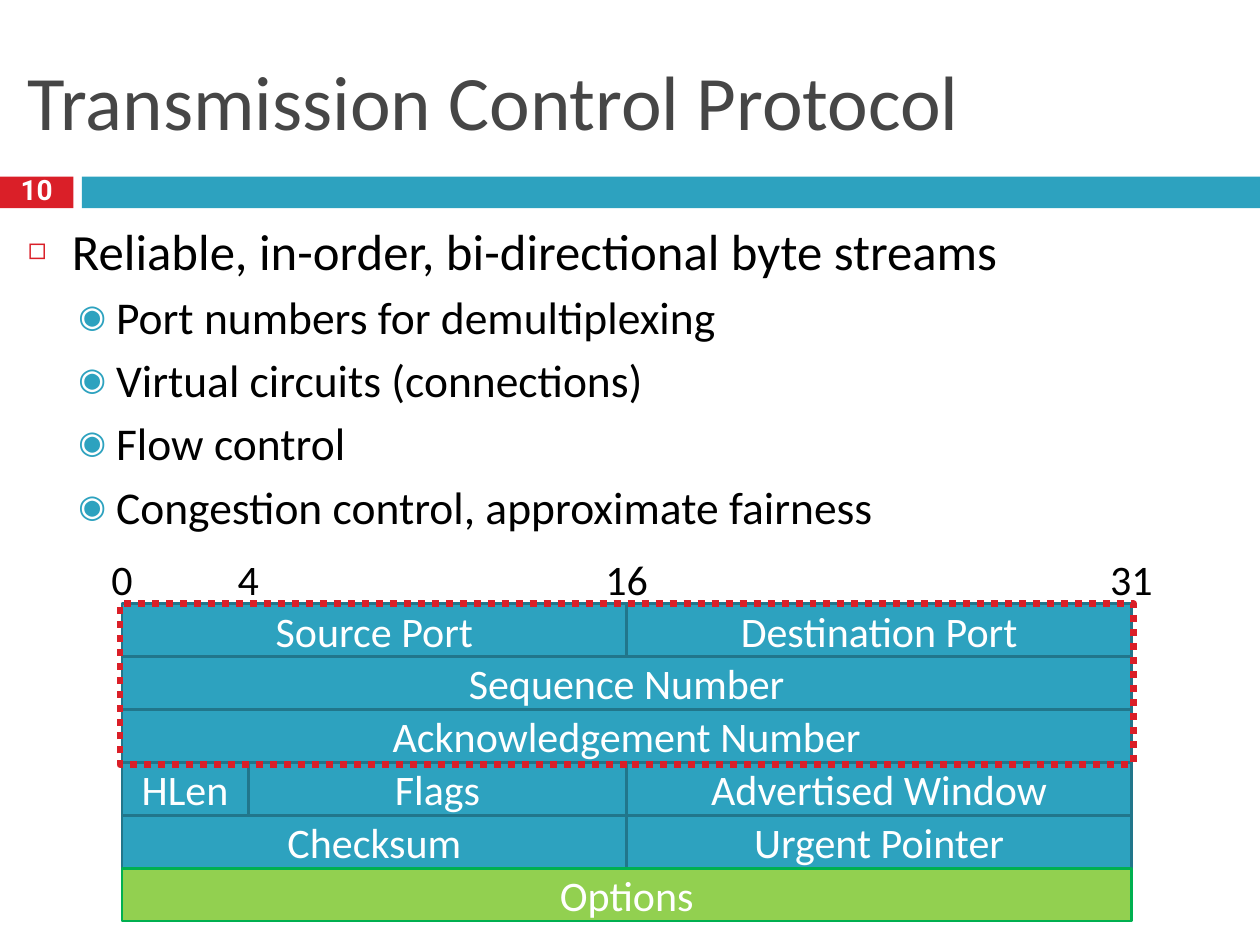
from lxml.etree import SubElement
from pptx import Presentation
from pptx.dml.color import RGBColor
from pptx.enum.dml import MSO_LINE
from pptx.enum.shapes import MSO_SHAPE
from pptx.enum.text import MSO_ANCHOR, MSO_AUTO_SIZE, PP_ALIGN
from pptx.oxml.ns import qn
from pptx.util import Cm, Pt

WHITE, BLACK, GREY = "FFFFFF", "000000", "464646"
RED, TEAL, DARK_TEAL = "DA1F28", "2DA2BF", "21768B"
LIME, GREEN = "92D050", "00B050"

BULLETS = [
    (0, "Reliable, in-order, bi-directional byte streams"),
    (1, "Port numbers for demultiplexing"),
    (1, "Virtual circuits (connections)"),
    (1, "Flow control"),
    (1, "Congestion control, approximate fairness"),
]
LEVELS = [
    {"size": 29, "before": 7, "left": 0.89, "hang": 0.89, "char": "◻", "color": RED, "scale": 60},
    {"size": 26, "before": 5, "left": 1.78, "hang": 0.76, "char": "◉", "color": TEAL, "scale": 70},
]
HEADER_BITS = 32
HEADER_ROWS = [
    [("Source Port", 0, 16), ("Destination Port", 16, 32)],
    [("Sequence Number", 0, 32)],
    [("Acknowledgement Number", 0, 32)],
    [("HLen", 0, 4), ("Flags", 4, 16), ("Advertised Window", 16, 32)],
    [("Checksum", 0, 16), ("Urgent Pointer", 16, 32)],
    [("Options", 0, 32)],
]
BIT_LABELS = [("0", 0), ("4", 4), ("16", 16), ("31", 32)]
HIGHLIGHTED_ROWS = 3


def paint(value):
    return RGBColor.from_string(value)


def place(shape, left, top, width, height):
    shape.left, shape.top, shape.width, shape.height = Cm(left), Cm(top), Cm(width), Cm(height)


def set_frame(frame, anchor, vertical_inset=0.13):
    frame.auto_size = MSO_AUTO_SIZE.NONE
    frame.word_wrap = True
    frame.vertical_anchor = anchor
    frame.margin_left = frame.margin_right = Cm(0.13)
    frame.margin_top = frame.margin_bottom = Cm(vertical_inset)


def format_spans(paragraph, size, color, font="Calibri", bold=False):
    for span in paragraph.runs:
        span.font.name = font
        span.font.size = Pt(size)
        span.font.bold = bold
        span.font.color.rgb = paint(color)


def write_centred(shape, text, size, color, **style):
    set_frame(shape.text_frame, MSO_ANCHOR.MIDDLE, 0)
    shape.text_frame.text = text
    paragraph = shape.text_frame.paragraphs[0]
    paragraph.alignment = PP_ALIGN.CENTER
    format_spans(paragraph, size, color, **style)
    return paragraph


def add_rectangle(page, left, top, width, height, fill=None, line=None, weight=1.5):
    shape = page.shapes.add_shape(
        MSO_SHAPE.RECTANGLE, Cm(left), Cm(top), Cm(width), Cm(height))
    shape.shadow.inherit = False
    if fill:
        shape.fill.solid()
        shape.fill.fore_color.rgb = paint(fill)
    else:
        shape.fill.background()
    if line:
        shape.line.color.rgb = paint(line)
        shape.line.width = Pt(weight)
    else:
        shape.line.fill.background()
    return shape


def add_label(page, text, left, top, width, height, size, color, **style):
    box = page.shapes.add_textbox(Cm(left), Cm(top), Cm(width), Cm(height))
    return write_centred(box, text, size, color, **style)


def fill_title(page, left, top, width, height):
    title = page.shapes.title
    place(title, left, top, width, height)
    set_frame(title.text_frame, MSO_ANCHOR.MIDDLE)
    title.text_frame.text = "Transmission Control Protocol"
    paragraph = title.text_frame.paragraphs[0]
    paragraph.alignment = PP_ALIGN.LEFT
    format_spans(paragraph, 44, GREY)


def add_number_band(page, left, top, width, height):
    number_width, gap = 1.48, 0.17
    bar_left = left + number_width + gap
    add_rectangle(page, left, top, number_width, height, RED)
    add_rectangle(page, bar_left, top, left + width - bar_left, height, TEAL)
    paragraph = add_label(page, "10", left, top - 0.1, number_width, height + 0.2,
                          16, WHITE, font="Roboto", bold=True)
    paragraph.line_spacing = 0.8


def set_bullet(paragraph, level):
    properties = paragraph._p.get_or_add_pPr()
    properties.set("marL", str(Cm(level["left"])))
    properties.set("indent", str(-Cm(level["hang"])))
    color = SubElement(properties, qn("a:buClr"))
    SubElement(color, qn("a:srgbClr"), val=level["color"])
    SubElement(properties, qn("a:buSzPct"), val=str(level["scale"] * 1000))
    SubElement(properties, qn("a:buChar"), char=level["char"])


def fill_bullets(page, left, top, width, height):
    body = page.placeholders[1]
    place(body, left, top, width, height)
    frame = body.text_frame
    set_frame(frame, MSO_ANCHOR.TOP)
    frame.text = "\n".join(text for _, text in BULLETS)
    for paragraph, (depth, _) in zip(frame.paragraphs, BULLETS):
        level = LEVELS[depth]
        paragraph.level = depth
        paragraph.space_before = Pt(level["before"])
        set_bullet(paragraph, level)
        format_spans(paragraph, level["size"], BLACK)


def add_packet_header(page, left, top, width, height):
    bit_width = width / HEADER_BITS
    row_height = height / len(HEADER_ROWS)
    label_width, label_height = 1.65, 1.22

    for row, fields in enumerate(HEADER_ROWS):
        optional = row == len(HEADER_ROWS) - 1
        fill, line = (LIME, GREEN) if optional else (TEAL, DARK_TEAL)
        for name, start, end in fields:
            field = add_rectangle(
                page, left + start * bit_width, top + row * row_height,
                (end - start) * bit_width, row_height, fill, line)
            write_centred(field, name, 24, WHITE)

    for text, bit in BIT_LABELS:
        add_label(page, text, left + bit * bit_width - label_width / 2,
                  top - 1.12, label_width, label_height, 24, BLACK)

    margin = 0.04
    highlight = add_rectangle(
        page, left - margin, top, width + 2 * margin,
        HIGHLIGHTED_ROWS * row_height + margin, line=RED, weight=4)
    highlight.line.dash_style = MSO_LINE.ROUND_DOT


def main():
    deck = Presentation()
    deck.slide_width, deck.slide_height = Cm(25.4), Cm(19.05)
    page = deck.slides.add_slide(deck.slide_layouts[1])
    add_number_band(page, 0, 3.56, 25.4, 0.64)
    fill_title(page, 0.43, 0.64, 24.56, 2.74)
    fill_bullets(page, 0.43, 4.29, 24.56, 6.93)
    add_packet_header(page, 2.46, 12.17, 20.35, 6.4)
    deck.save("out.pptx")


if __name__ == "__main__":
    main()
